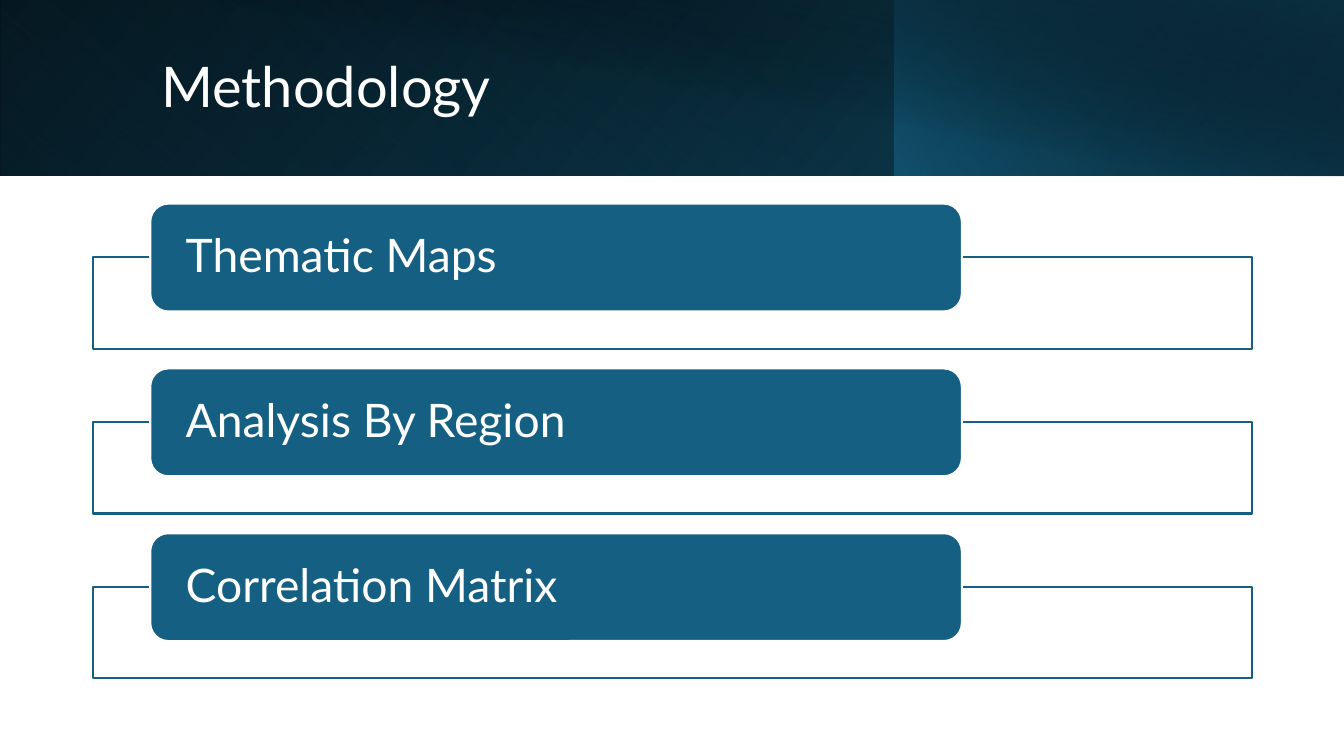
import pptx
import pptx.dml.color
import pptx.enum.shapes
import pptx.enum.text
import pptx.oxml
import pptx.oxml.ns
import pptx.util

Inches = pptx.util.Inches
RGBColor = pptx.dml.color.RGBColor
SHAPE = pptx.enum.shapes.MSO_SHAPE

WHITE = RGBColor(0xFF, 0xFF, 0xFF)
BLACK = RGBColor(0x00, 0x00, 0x00)
BLUE = RGBColor(0x15, 0x60, 0x82)
DEEP_BLUE = RGBColor(0x10, 0x48, 0x62)
DARK_BLUE = RGBColor(0x0B, 0x30, 0x41)

FONT = "Lato"
TOPICS = ["Thematic Maps", "Analysis By Region", "Correlation Matrix"]
FIRST_CARD_TOP = 2.02
TOPIC_STEP = 1.635

# Box, clockwise angle, stops (position, colour, opacity), flipped, rotation
BANNER_LAYERS = [
    ((0, 0, 13.33, 1.74), 140, [(0, BLACK, 100), (100, DEEP_BLUE, 100)], True, 0),
    ((0, 0, 8.88, 1.74), 230, [(20, BLUE, 0), (100, DARK_BLUE, 55)], True, 180),
    ((8.87, 0, 4.46, 1.74), 220, [(0, BLUE, 66), (100, BLACK, 30)], True, 0),
    ((0.5, 0, 12.83, 1.75), 280, [(50, BLACK, 0), (99, DARK_BLUE, 52)], False, 0),
]


def set_values(target, values):
    for name, value in values.items():
        setattr(target, name, value)


def set_opacity(color_element, percent):
    alpha = pptx.oxml.parse_xml(
        f'<a:alpha {pptx.oxml.ns.nsdecls("a")} val="{percent * 1000}"/>')
    color_element.append(alpha)


def add_box(slide, kind, box):
    shape = slide.shapes.add_shape(kind, *map(Inches, box))
    shape.shadow.inherit = False
    return shape


def add_banner_layer(slide, box, angle, stops, flipped, rotation):
    shape = add_box(slide, SHAPE.RECTANGLE, box)
    shape.line.fill.background()
    shape.rotation = rotation
    properties = shape._element.spPr
    if flipped:
        properties.xfrm.set("flipH", "1")
    shape.fill.gradient()
    shape.fill.gradient_angle = 360 - angle
    colors = properties.findall(".//" + pptx.oxml.ns.qn("a:gs"))
    for stop, element, (position, color, opacity) in zip(
            shape.fill.gradient_stops, colors, stops):
        stop.position = position / 100
        stop.color.rgb = color
        if opacity < 100:
            set_opacity(element[0], opacity)


def set_text(shape, text, size, margins):
    frame = shape.text_frame
    set_values(frame, {
        "text": text, "word_wrap": True,
        "auto_size": pptx.enum.text.MSO_AUTO_SIZE.NONE,
        "vertical_anchor": pptx.enum.text.MSO_ANCHOR.MIDDLE, **margins})
    paragraph = frame.paragraphs[0]
    set_values(paragraph, {
        "alignment": pptx.enum.text.PP_ALIGN.LEFT, "line_spacing": 0.9})
    set_values(paragraph.font, {"name": FONT, "size": pptx.util.Pt(size)})
    paragraph.font.color.rgb = WHITE


def paint(shape, fill, line):
    shape.fill.solid()
    shape.fill.fore_color.rgb = fill
    shape.line.color.rgb = line
    shape.line.width = pptx.util.Pt(1.5)


def add_title(slide, text):
    title = slide.shapes.title
    set_values(title, {
        "left": Inches(1.5), "top": Inches(0.32),
        "width": Inches(10.82), "height": Inches(1.13)})
    set_text(title, text, 40, {})
    # Bring the title in front of the banner
    slide.shapes._spTree.append(title._element)


def add_topic(slide, text, top):
    frame = add_box(slide, SHAPE.RECTANGLE, (0.92, top + 0.53, 11.5, 0.91))
    paint(frame, WHITE, BLUE)
    set_opacity(frame._element.spPr.find(
        pptx.oxml.ns.qn("a:solidFill"))[0], 90)
    card = add_box(slide, SHAPE.ROUNDED_RECTANGLE, (1.49, top, 8.05, 1.07))
    paint(card, BLUE, WHITE)
    set_text(card, text, 33, {
        "margin_left": Inches(0.3), "margin_right": Inches(0.3),
        "margin_top": 0, "margin_bottom": 0})


def main():
    presentation = pptx.Presentation()
    presentation.slide_width = Inches(13.33)
    presentation.slide_height = Inches(7.5)
    slide = presentation.slides.add_slide(presentation.slide_layouts[5])

    # Banner and title
    for layer in BANNER_LAYERS:
        add_banner_layer(slide, *layer)
    add_title(slide, "Methodology")

    # Topic cards
    for index, topic in enumerate(TOPICS):
        add_topic(slide, topic, FIRST_CARD_TOP + index * TOPIC_STEP)

    presentation.save("out.pptx")


if __name__ == "__main__":
    main()
